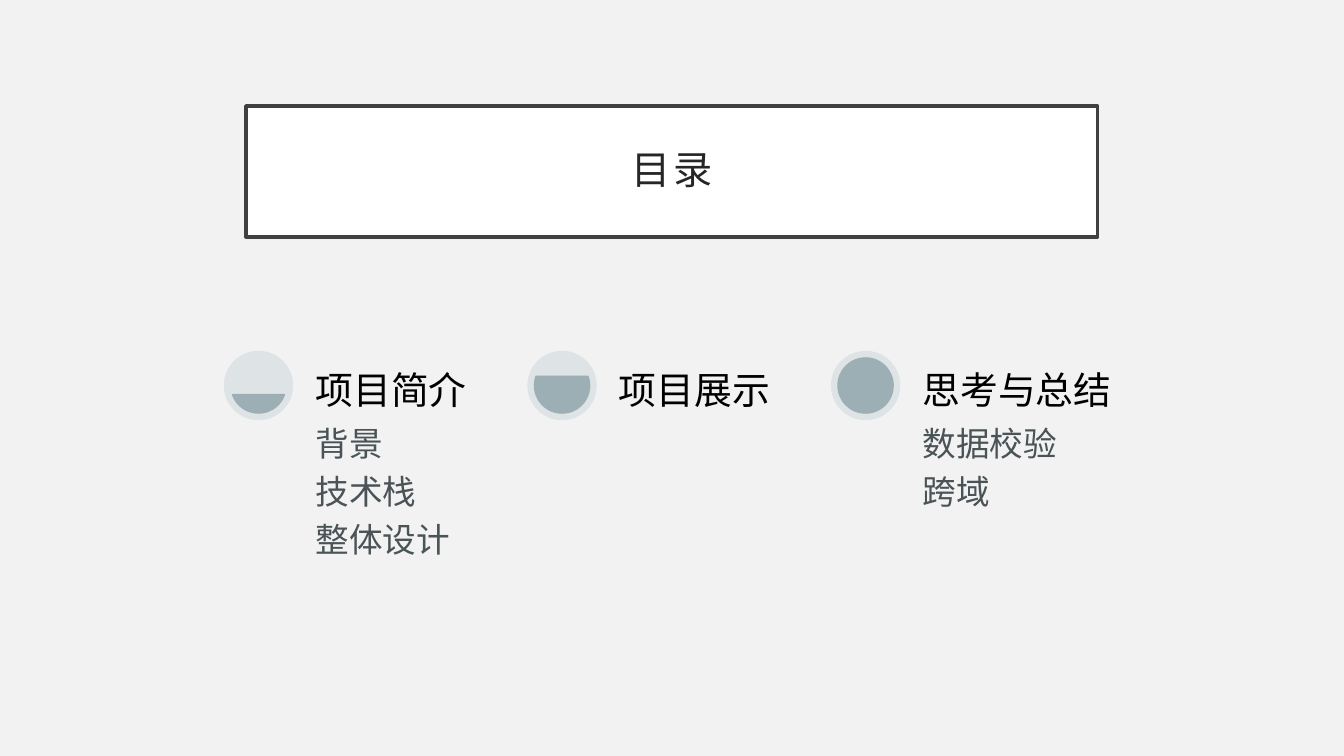
from math import asin, degrees

from lxml.etree import SubElement
from pptx import Presentation
from pptx.dml.color import RGBColor
from pptx.enum.shapes import MSO_SHAPE
from pptx.enum.text import MSO_ANCHOR, MSO_AUTO_SIZE, PP_ALIGN
from pptx.oxml.ns import qn
from pptx.util import Cm, Pt

# Content: heading, sub-items
TITLE = "目录"
SECTIONS = [
    ("项目简介", ["背景", "技术栈", "整体设计"]),
    ("项目展示", []),
    ("思考与总结", ["数据校验", "跨域"]),
]

FONT = "Calibri"
BACKGROUND = RGBColor(0xF2, 0xF2, 0xF2)
WHITE = RGBColor(0xFF, 0xFF, 0xFF)
BLACK = RGBColor(0, 0, 0)
FRAME = RGBColor(0x40, 0x40, 0x40)
TITLE_INK = RGBColor(0x26, 0x26, 0x26)
ITEM_INK = RGBColor(0x4A, 0x53, 0x56)
DISC = RGBColor(0xDE, 0xE3, 0xE5)
LEVEL = RGBColor(0x9B, 0xAF, 0xB5)

# Geometry in centimetres
LEFT, TOP, PITCH = 5.64, 8.84, 7.65
DISC_SIZE, RIM = 1.75, 0.18
TEXT_OFFSET, TEXT_WIDTH, ITEMS_HEIGHT = 2.13, 5.16, 7.34


def set_insets(frame, inset):
    frame.margin_left = frame.margin_right = Cm(inset)
    frame.margin_top = frame.margin_bottom = Cm(inset)


def add_span(para, text, size, color):
    para.line_spacing = 0.9
    span = para.add_run()
    span.text = text
    span.font.name = FONT
    span.font.size = Pt(size)
    span.font.color.rgb = color
    return span


def add_text(shapes, left, top, height, lines, size, color, anchor):
    box = shapes.add_textbox(Cm(left), Cm(top), Cm(TEXT_WIDTH), Cm(height))
    frame = box.text_frame
    frame.word_wrap = True
    frame.vertical_anchor = anchor
    set_insets(frame, 0.18)
    for number, line in enumerate(lines):
        para = frame.paragraphs[0] if number == 0 else frame.add_paragraph()
        add_span(para, line, size, color)
        # Space after as a share of the line
        after = SubElement(para._p.get_or_add_pPr(), qn("a:spcAft"))
        SubElement(after, qn("a:spcPct")).set("val", "35000")


def add_round(shapes, kind, left, top, size, color):
    shape = shapes.add_shape(kind, Cm(left), Cm(top), Cm(size), Cm(size))
    shape.shadow.inherit = False
    shape.fill.solid()
    shape.fill.fore_color.rgb = color
    shape.line.fill.background()
    return shape


def add_gauge(shapes, left, share):
    add_round(shapes, MSO_SHAPE.OVAL, left, TOP, DISC_SIZE, DISC)
    chord = add_round(shapes, MSO_SHAPE.CHORD, left + RIM, TOP + RIM,
                      DISC_SIZE - 2 * RIM, LEVEL)
    chord.line.color.rgb = LEVEL
    chord.line.width = Pt(1)
    # Angles where the fill level meets the circle, in 60000ths of a degree
    angle = degrees(asin(1 - 2 * share))
    chord.adjustments[0] = (angle % 360) * 0.6
    chord.adjustments[1] = (180 - angle) * 0.6


deck = Presentation()
deck.slide_width, deck.slide_height = Cm(33.87), Cm(19.05)
page = deck.slides.add_slide(deck.slide_layouts[5])
page.background.fill.solid()
page.background.fill.fore_color.rgb = BACKGROUND

# Framed title
title = page.shapes.title
title.left, title.top, title.width, title.height = Cm(6.2), Cm(2.67), Cm(21.46), Cm(3.3)
title.fill.solid()
title.fill.fore_color.rgb = WHITE
title.line.color.rgb = FRAME
title.line.width = Pt(2.5)
title_frame = title.text_frame
title_frame.auto_size = MSO_AUTO_SIZE.NONE
title_frame.word_wrap = True
title_frame.vertical_anchor = MSO_ANCHOR.MIDDLE
set_insets(title_frame, 0.5)
title_para = title_frame.paragraphs[0]
title_para.alignment = PP_ALIGN.CENTER
title_span = add_span(title_para, TITLE, 28, TITLE_INK)
title_span.font._element.set("spc", "200")

# Agenda columns, each gauge fuller than the last
agenda = page.shapes.add_group_shape().shapes
for index, (heading, items) in enumerate(SECTIONS):
    left = LEFT + index * PITCH
    text_left = left + TEXT_OFFSET
    add_gauge(agenda, left, (index + 1) / len(SECTIONS))
    if items:
        add_text(agenda, text_left, TOP + DISC_SIZE, ITEMS_HEIGHT, items,
                 24, ITEM_INK, MSO_ANCHOR.TOP)
    add_text(agenda, text_left, TOP, DISC_SIZE, [heading],
             27, BLACK, MSO_ANCHOR.BOTTOM)

deck.save("out.pptx")
